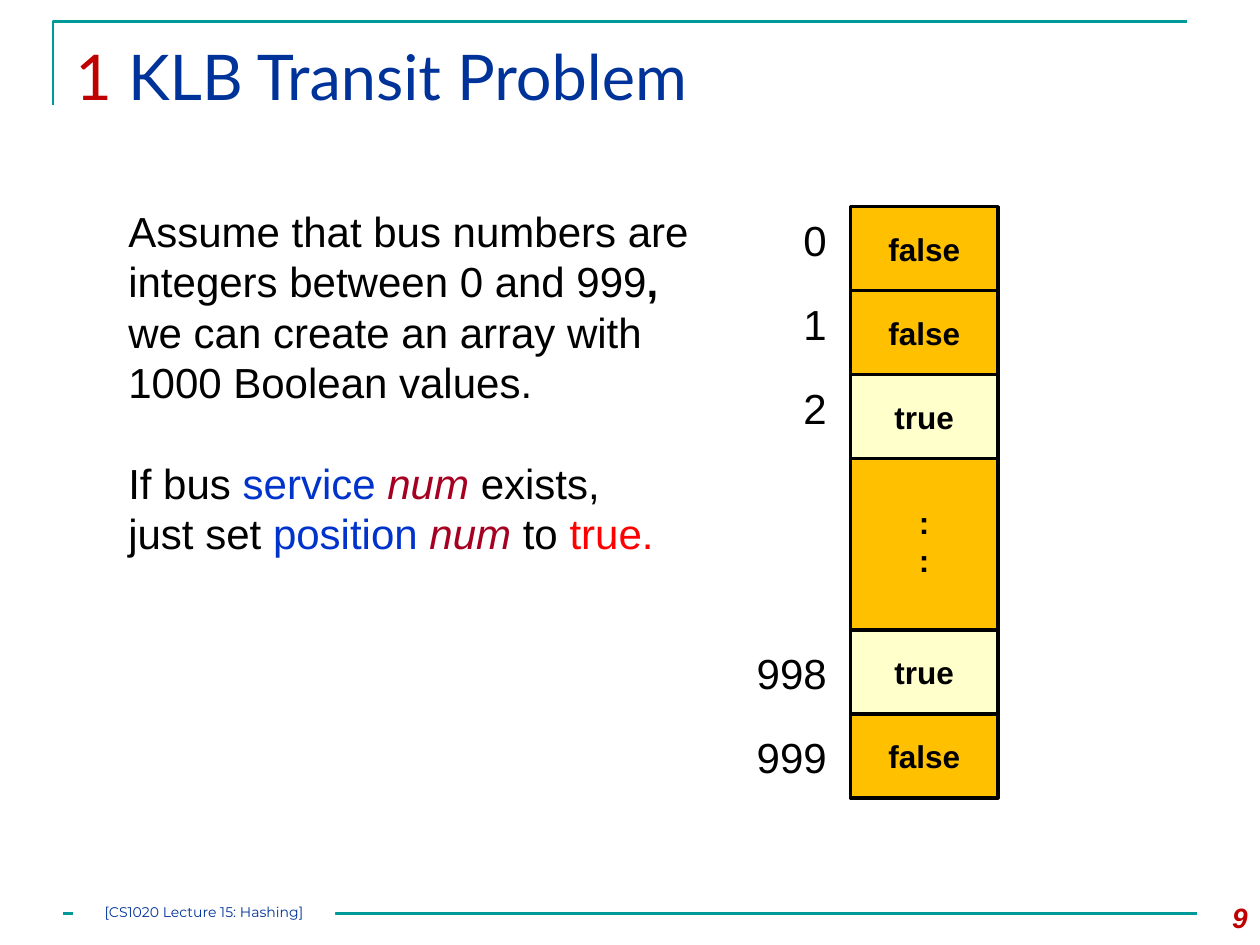
from dataclasses import dataclass
from typing import NamedTuple

from lxml.etree import SubElement
from pptx import Presentation
from pptx.dml.color import RGBColor
from pptx.enum.shapes import MSO_CONNECTOR, MSO_SHAPE
from pptx.enum.text import MSO_ANCHOR as Anchor, PP_ALIGN as Align
from pptx.oxml.ns import qn
from pptx.util import Inches, Pt

TEAL = RGBColor(0x00, 0x99, 0x99)
NAVY = RGBColor(0x00, 0x33, 0x99)
BLUE = RGBColor(0x00, 0x33, 0xCC)
CRIMSON = RGBColor(0xC0, 0x00, 0x00)
MAROON = RGBColor(0xA5, 0x00, 0x21)
RED = RGBColor(0xFF, 0x00, 0x00)
BLACK = RGBColor(0x00, 0x00, 0x00)
WHITE = RGBColor(0xFF, 0xFF, 0xFF)
AMBER = RGBColor(0xFF, 0xC0, 0x00)
CREAM = RGBColor(0xFF, 0xFF, 0xCC)

# Array grid, in inches
ARRAY_LEFT, ARRAY_WIDTH = 6.75, 1.17
ROW = 2 / 3
HEAD_TOP, TAIL_TOP = 1.64, 5.0
DOTS_TOP = 3.58
LABEL_RIGHT = 6.66


class Span(NamedTuple):
    text: str
    color: RGBColor = BLACK
    bold: bool = False
    italic: bool = False


class Box(NamedTuple):
    left: float
    top: float
    width: float
    height: float

    def inches(self) -> list:
        return [Inches(side) for side in self]


@dataclass
class Slot:
    value: str
    top: float
    index: str = ""
    label_top: float = 0
    height: float = ROW

    @property
    def fill(self) -> RGBColor:
        return CREAM if self.value == "true" else AMBER


def write(shape, lines: list[list[Span]], *, size: float, font="Arial",
          align=Align.LEFT, anchor=Anchor.TOP, wrap=True, inset=None,
          leading=1.2) -> None:
    """Fill a shape with paragraphs made of formatted spans."""
    frame = shape.text_frame
    frame.word_wrap = wrap
    frame.vertical_anchor = anchor
    if inset is not None:
        frame.margin_left = frame.margin_right = Inches(inset)
        frame.margin_top = frame.margin_bottom = Inches(inset)
    for number, spans in enumerate(lines):
        paragraph = frame.paragraphs[0] if number == 0 else frame.add_paragraph()
        paragraph.alignment = align
        if leading:
            paragraph.line_spacing = Pt(size * leading)
        for span in spans:
            run = paragraph.add_run()
            run.text = span.text
            run.font.name, run.font.size = font, Pt(size)
            run.font.bold, run.font.italic = span.bold, span.italic
            run.font.color.rgb = span.color


def add_text(shapes, box: Box, lines: list[list[Span]], **style) -> None:
    write(shapes.add_textbox(*box.inches()), lines, **style)


def add_rect(shapes, box: Box, fill: RGBColor, outline: RGBColor | None = None):
    rect = shapes.add_shape(MSO_SHAPE.RECTANGLE, *box.inches())
    rect.shadow.inherit = False
    rect.fill.solid()
    rect.fill.fore_color.rgb = fill
    if outline is None:
        rect.line.fill.background()
    else:
        rect.line.color.rgb = outline
        rect.line.width = Pt(2)
    return rect


def add_slot(shapes, slot: Slot) -> None:
    cell = add_rect(shapes, Box(ARRAY_LEFT, slot.top, ARRAY_WIDTH, slot.height),
                    slot.fill, BLACK)
    write(cell, [[Span(line, bold=True)] for line in slot.value.split("\n")],
          size=18, align=Align.CENTER, anchor=Anchor.MIDDLE, wrap=False)
    if slot.index:
        width = 0.92 if len(slot.index) > 1 else 0.58
        add_text(shapes, Box(LABEL_RIGHT - width, slot.label_top, width, 0.5),
                 [[Span(slot.index)]], size=24, align=Align.RIGHT)


def add_frame(shapes) -> None:
    """Corner rule at the top and footer rule at the bottom."""
    pen = shapes.build_freeform(Inches(0.42), Inches(0.83), scale=1.0)
    pen.add_line_segments([(Inches(0.42), Inches(0.17)),
                           (Inches(9.42), Inches(0.17))], close=False)
    corner = pen.convert_to_shape()
    corner.shadow.inherit = False
    corner.fill.background()
    footer = shapes.add_connector(MSO_CONNECTOR.STRAIGHT, Inches(0.5),
                                  Inches(7.25), Inches(9.5), Inches(7.25))
    SubElement(footer.line._get_or_add_ln().getparent(), qn("a:effectLst"))
    for rule in (corner, footer):
        rule.line.color.rgb = TEAL
        rule.line.width = Pt(1.5)


ASSUMPTION = [
    [Span("Assume that bus numbers are")],
    [Span("integers between 0 and 999"), Span(",", bold=True)],
    [Span("we can create an array with")],
    [Span("1000 Boolean values.")],
]
NUM = Span("num ", MAROON, italic=True)
RULE = [
    [Span("If bus "), Span("service ", BLUE), NUM, Span("exists,")],
    [Span("just set "), Span("position ", BLUE), NUM, Span("to "),
     Span("true.", RED)],
]


def array_slots() -> list[Slot]:
    slots = [Slot(":\n:", DOTS_TOP, height=TAIL_TOP - DOTS_TOP)]
    runs = [(HEAD_TOP, 0, 0.01, ("false", "false", "true")),
            (TAIL_TOP, 998, 0.09, ("true", "false"))]
    for start, first, drop, values in runs:
        for step, value in enumerate(values):
            top = start + step * ROW
            slots.append(Slot(value, top, str(first + step), top + drop))
    return slots


def main() -> None:
    deck = Presentation()
    deck.slide_width, deck.slide_height = Inches(10), Inches(7.5)
    slide = deck.slides.add_slide(deck.slide_layouts[6])
    shapes = slide.shapes

    # Frame, title and page number
    add_frame(shapes)
    add_text(shapes, Box(0.5, 0.25, 9, 0.86),
             [[Span("1 ", CRIMSON), Span("KLB Transit Problem", NAVY)]],
             size=36, font="Lato", leading=None)
    add_text(shapes, Box(9.33, 7.1, 0.67, 0.4),
             [[Span("9", CRIMSON, bold=True, italic=True)]],
             size=16, align=Align.RIGHT)

    # Explanation
    add_text(shapes, Box(0.92, 1.58, 4.79, 1.72), ASSUMPTION, size=24, wrap=False)
    add_text(shapes, Box(0.92, 3.58, 4.41, 0.91), RULE, size=24, wrap=False)

    # Boolean array
    array = shapes.add_group_shape()
    for slot in array_slots():
        add_slot(array.shapes, slot)

    # Lecture name over the footer rule
    lecture = add_rect(shapes, Box(0.58, 7.17, 2.08, 0.17), WHITE)
    write(lecture, [[Span("[CS1020 Lecture 15: Hashing]", NAVY)]], size=8,
          font="Montserrat", align=Align.CENTER, inset=0, leading=None)

    deck.save("out.pptx")


if __name__ == "__main__":
    main()
